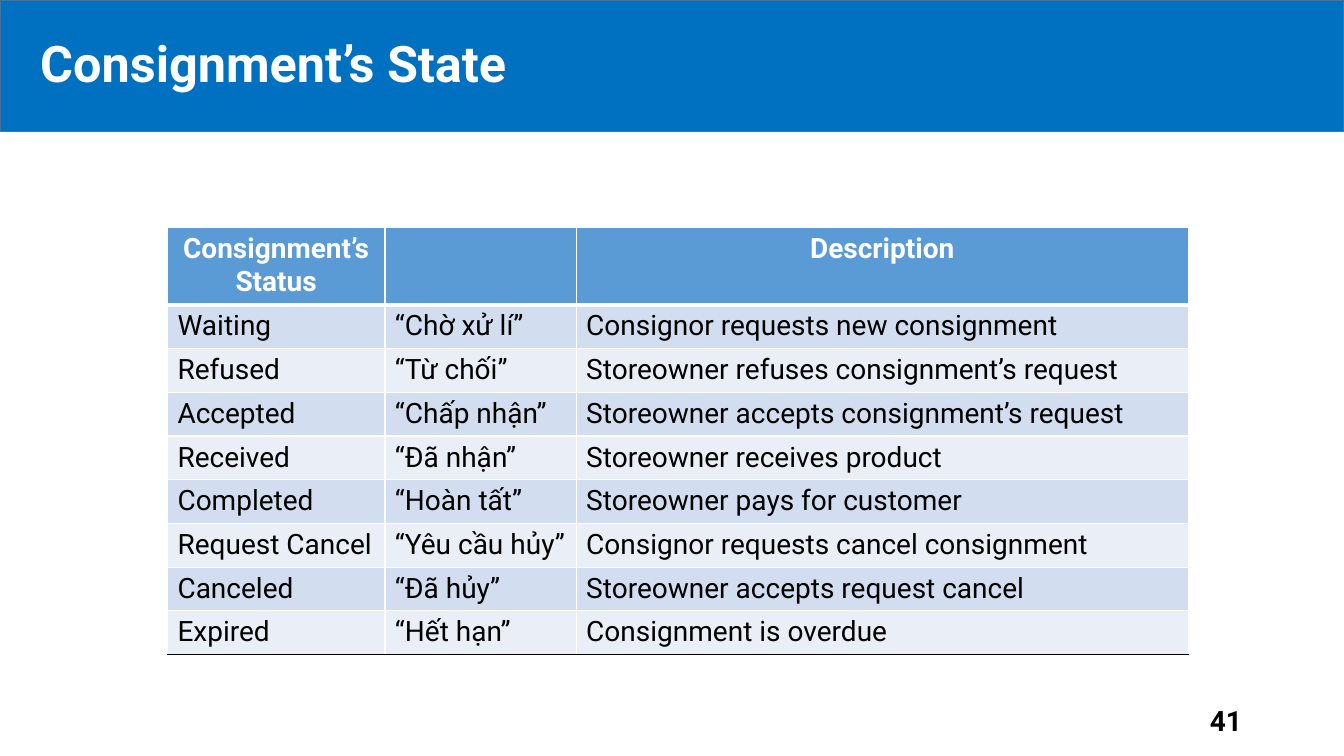
from dataclasses import dataclass

from lxml.etree import SubElement
from pptx import Presentation
from pptx.dml.color import RGBColor as Color
from pptx.enum.shapes import MSO_SHAPE as Shape
from pptx.enum.text import MSO_ANCHOR as Anchor, MSO_AUTO_SIZE as AutoSize, PP_ALIGN as Align
from pptx.oxml.ns import qn
from pptx.util import Cm, Pt


@dataclass(frozen=True)
class Theme:
    font: str = "Roboto"
    title_size: int = 36
    body_size: int = 20
    white: str = "FFFFFF"
    black: str = "000000"
    banner: str = "0070C0"
    banner_line: str = "43739E"
    header: str = "5B9BD5"
    bands: tuple = ("D2DEEF", "EAEFF7")


theme = Theme()


def style(para, size, color, bold, align):
    para.alignment = align
    para.font.name = theme.font
    para.font.size = Pt(size)
    para.font.bold = bold
    para.font.color.rgb = Color.from_string(color)


def add_borders(cell, bottom_color, bottom_width):
    """Draw the four cell borders; they must come before the fill."""
    props = cell._tc.get_or_add_tcPr()
    for side in ("lnL", "lnR", "lnT", "lnB"):
        color, width = (bottom_color, bottom_width) if side == "lnB" else (theme.white, 1)
        line = SubElement(props, qn(f"a:{side}"), w=str(Pt(width)))
        fill = SubElement(line, qn("a:solidFill"))
        SubElement(fill, qn("a:srgbClr"), val=color)


# Slide
deck = Presentation()
deck.slide_width, deck.slide_height = Cm(33.87), Cm(19.05)
page = deck.slides.add_slide(deck.slide_layouts[5])

# Banner, placed behind the title
banner = page.shapes.add_shape(Shape.RECTANGLE, Cm(0), Cm(0), deck.slide_width, Cm(3.31))
banner.shadow.inherit = False
banner.fill.solid()
banner.fill.fore_color.rgb = Color.from_string(theme.banner)
banner.line.color.rgb = Color.from_string(theme.banner_line)
banner.line.width = Pt(1)
title = page.shapes.title
title.element.addprevious(banner.element)

# Title
title.left, title.top, title.width, title.height = Cm(0.76), Cm(0.36), Cm(31.83), Cm(2.62)
title.text_frame.text = "Consignment’s State"
title.text_frame.auto_size = AutoSize.NONE
title.text_frame.vertical_anchor = Anchor.MIDDLE
title_para = title.text_frame.paragraphs[0]
title_para.line_spacing = 0.9
style(title_para, theme.title_size, theme.white, True, Align.LEFT)

# Page number
number = page.shapes.add_textbox(Cm(23.93), Cm(17.65), Cm(7.62), Cm(1.02))
number.text_frame.word_wrap = True
number.text_frame.vertical_anchor = Anchor.MIDDLE
number.text_frame.text = "41"
style(number.text_frame.paragraphs[0], theme.body_size, theme.black, True, Align.RIGHT)

# Table of states
states = [
    ("Consignment’s Status", "", "Description"),
    ("Waiting", "“Chờ xử lí”", "Consignor requests new consignment"),
    ("Refused", "“Từ chối”", "Storeowner refuses consignment’s request"),
    ("Accepted", "“Chấp nhận”", "Storeowner accepts consignment’s request"),
    ("Received", "“Đã nhận”", "Storeowner receives product"),
    ("Completed", "“Hoàn tất”", "Storeowner pays for customer"),
    ("Request Cancel", "“Yêu cầu hủy”", "Consignor requests cancel consignment"),
    ("Canceled", "“Đã hủy”", "Storeowner accepts request cancel"),
    ("Expired", "“Hết hạn”", "Consignment is overdue"),
]
column_widths = (5.48, 4.82, 15.43)
last_row = len(states) - 1
frame = page.shapes.add_table(len(states), len(column_widths),
                              Cm(4.22), Cm(5.73), Cm(sum(column_widths)), Cm(10.74))
table = frame.table
for column, width in zip(table.columns, column_widths):
    column.width = Cm(width)

for row_index, state in enumerate(states):
    is_header = row_index == 0
    table.rows[row_index].height = Cm(1.86 if is_header else 1.04)
    fill_color = theme.header if is_header else theme.bands[(row_index - 1) % 2]
    text_color = theme.white if is_header else theme.black
    bottom_color = theme.black if row_index == last_row else theme.white
    for column_index, text in enumerate(state):
        cell = table.cell(row_index, column_index)
        add_borders(cell, bottom_color, 3 if is_header else 1)
        cell.fill.solid()
        cell.fill.fore_color.rgb = Color.from_string(fill_color)
        cell.text = text
        style(cell.text_frame.paragraphs[0], theme.body_size, text_color,
              is_header, Align.CENTER if is_header else Align.LEFT)

deck.save("out.pptx")
